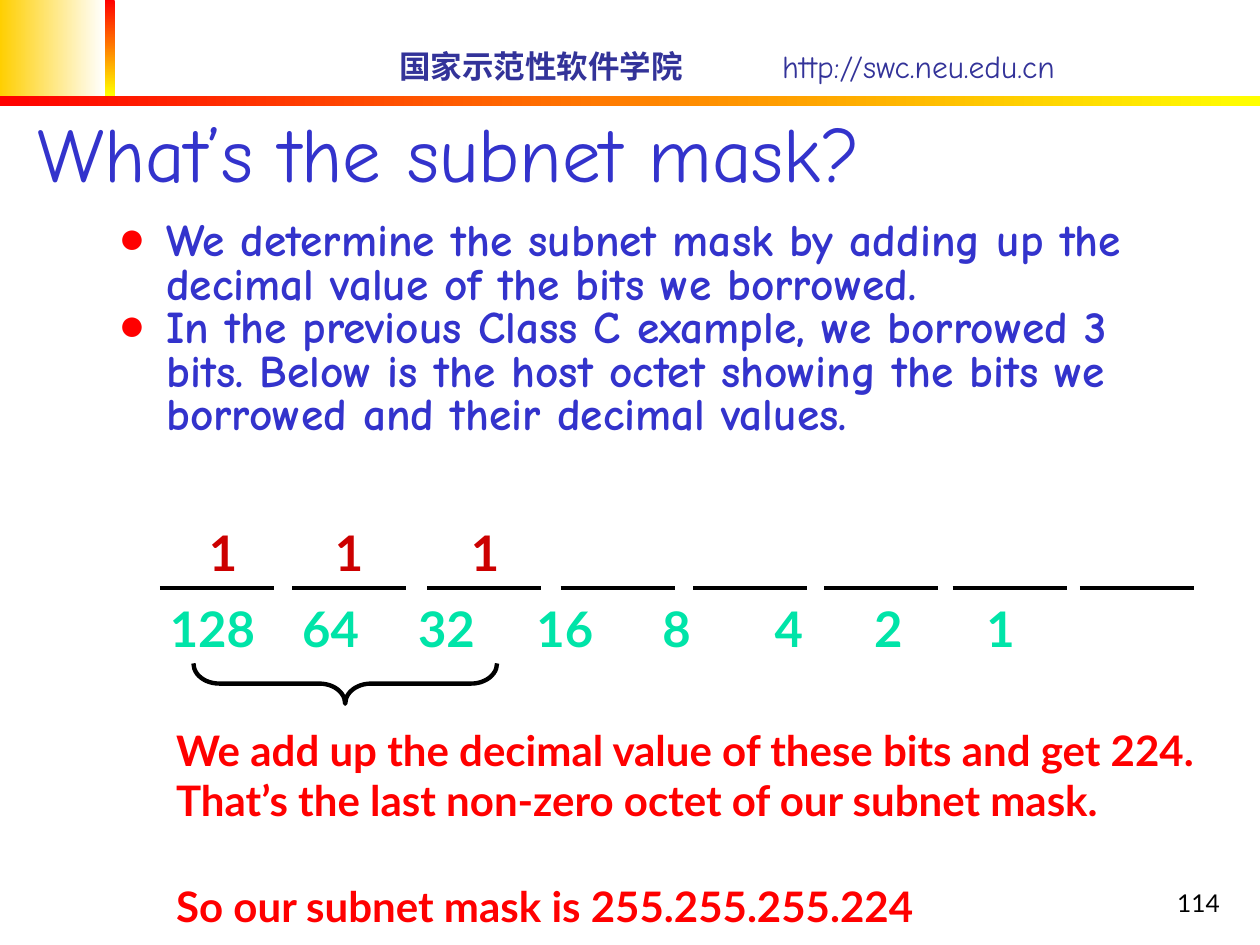
from typing import NamedTuple

from lxml.etree import SubElement
from pptx import Presentation
from pptx.dml.color import RGBColor
from pptx.enum.shapes import MSO_CONNECTOR, MSO_SHAPE
from pptx.enum.text import MSO_ANCHOR, MSO_AUTO_SIZE, PP_ALIGN
from pptx.oxml.ns import qn
from pptx.util import Inches, Pt

# Grid: 100 columns by 75 rows on a 10 by 7.5 inch slide
COLUMNS, ROWS = 100, 75
SLIDE_WIDTH, SLIDE_HEIGHT = Inches(10), Inches(7.5)

HAND_FONT, PLAIN_FONT = "Comic Neue", "Lato"
WHITE = RGBColor(0xFF, 0xFF, 0xFF)
BLACK = RGBColor(0x00, 0x00, 0x00)
GOLD = RGBColor(0xFF, 0xCF, 0x01)
YELLOW = RGBColor(0xFF, 0xFF, 0x00)
RED = RGBColor(0xFF, 0x00, 0x00)
DARK_RED = RGBColor(0xCC, 0x00, 0x00)
GREEN = RGBColor(0x00, 0xE4, 0xA8)
BLUE = RGBColor(0x33, 0x33, 0xCC)
NAVY = RGBColor(0x33, 0x33, 0x99)


class Box(NamedTuple):
    """A place on the grid, in columns and rows."""
    left: float
    top: float
    width: float
    height: float


class Band(NamedTuple):
    box: Box
    start: RGBColor
    end: RGBColor
    angle: int


class Bit(NamedTuple):
    """One place of the octet: its rule, its value and the value's tab stop."""
    rule_left: float
    value: str
    tab: float


BANDS = [
    Band(Box(0, 0, 8.3, 7.6), GOLD, WHITE, 0),
    Band(Box(8.3, 0, 0.8, 7.6), RED, YELLOW, 270),
    Band(Box(0, 7.6, 100, 0.8), RED, YELLOW, 0),
]
BITS = [
    Bit(12.7, "128", 0), Bit(23.2, "64", 10.5), Bit(33.9, "32", 19.7),
    Bit(44.5, "16", 29.1), Bit(55, "8", 39.1), Bit(65.4, "4", 48),
    Bit(75.6, "2", 55.9), Bit(85.7, "1", 64.8),
]
BORROWED_LEFTS = [14.7, 24.7, 35.5]
RULE_ROW, RULE_WIDTH = 46.7, 9.05
BULLETS = [
    "We determine the subnet mask by adding up the decimal value of the bits we borrowed.",
    "In the previous Class C example, we borrowed 3 bits. Below is the host octet "
    "showing the bits we borrowed and their decimal values.",
]
CONCLUSIONS = [
    (Box(13, 57, 84.3, 13), "We add up the decimal value of these bits and get 224. "
                            "That’s the last non-zero octet of our subnet mask."),
    (Box(13, 69.4, 84.3, 5), "So our subnet mask is 255.255.255.224"),
]


def across(columns: float) -> int:
    return round(SLIDE_WIDTH * columns / COLUMNS)


def down(rows: float) -> int:
    return round(SLIDE_HEIGHT * rows / ROWS)


def emu(box: Box) -> tuple:
    return across(box.left), down(box.top), across(box.width), down(box.height)


def place(shape, box: Box) -> None:
    shape.left, shape.top, shape.width, shape.height = emu(box)


def add_bullet(paragraph, indent: float) -> None:
    properties = paragraph._p.get_or_add_pPr()
    properties.set("marL", str(across(indent)))
    properties.set("indent", str(-across(indent)))
    color = SubElement(properties, qn("a:buClr"))
    SubElement(color, qn("a:srgbClr")).set("val", str(RED))
    SubElement(properties, qn("a:buFont")).set("typeface", "Arial")
    SubElement(properties, qn("a:buChar")).set("char", "●")


def add_tabs(paragraph, stops: list) -> None:
    tabs = SubElement(paragraph._p.get_or_add_pPr(), qn("a:tabLst"))
    for stop in stops:
        tab = SubElement(tabs, qn("a:tab"))
        tab.set("pos", str(across(stop)))
        tab.set("algn", "l")


def write(shape, paragraphs: list, *, size: float, color: RGBColor, font=PLAIN_FONT,
          bold=False, align=PP_ALIGN.LEFT, anchor=MSO_ANCHOR.TOP, spacing=1.0,
          bullet_indent=0.0, tabs=()) -> None:
    """Fill a shape with paragraphs, each formatted the same way."""
    frame = shape.text_frame
    frame.word_wrap = True
    frame.auto_size = MSO_AUTO_SIZE.NONE
    frame.vertical_anchor = anchor
    for index, text in enumerate(paragraphs):
        paragraph = frame.add_paragraph() if index else frame.paragraphs[0]
        if bullet_indent:
            add_bullet(paragraph, bullet_indent)
        if tabs:
            add_tabs(paragraph, tabs)
        paragraph.alignment = align
        paragraph.line_spacing = spacing
        paragraph.space_before = Pt(0)
        run = paragraph.add_run()
        run.text = text
        run.font.name, run.font.size = font, Pt(size)
        run.font.bold, run.font.color.rgb = bold, color


def add_text(slide, box: Box, text: str, **formatting) -> None:
    write(slide.shapes.add_textbox(*emu(box)), [text], **formatting)


def add_band(slide, band: Band) -> None:
    shape = slide.shapes.add_shape(MSO_SHAPE.RECTANGLE, *emu(band.box))
    shape.shadow.inherit = False
    shape.line.fill.background()
    shape.fill.gradient()
    shape.fill.gradient_angle = band.angle
    for stop, color in zip(shape.fill.gradient_stops, (band.start, band.end)):
        stop.color.rgb = color


def add_rule(slide, left: float) -> None:
    rule = slide.shapes.add_connector(
        MSO_CONNECTOR.STRAIGHT, across(left), down(RULE_ROW),
        across(left + RULE_WIDTH), down(RULE_ROW))
    rule.line.color.rgb, rule.line.width = BLACK, Pt(2.25)
    SubElement(rule._element.spPr, qn("a:effectLst"))


def add_brace(slide, box: Box) -> None:
    brace = slide.shapes.add_shape(MSO_SHAPE.LEFT_BRACE, *emu(box))
    brace.shadow.inherit = False
    brace.rotation = 270
    brace.adjustments[0], brace.adjustments[1] = 0.64, 0.5
    brace.fill.background()
    brace.line.color.rgb, brace.line.width = BLACK, Pt(2.5)


def main() -> None:
    presentation = Presentation()
    presentation.slide_width, presentation.slide_height = SLIDE_WIDTH, SLIDE_HEIGHT
    slide = presentation.slides.add_slide(presentation.slide_layouts[1])

    # Header bands, school name and address
    for band in BANDS:
        add_band(slide, band)
    header = {"size": 18, "color": NAVY, "font": HAND_FONT, "anchor": MSO_ANCHOR.MIDDLE}
    add_text(slide, Box(30.7, 3.2, 28, 4), "国家示范性软件学院", bold=True, **header)
    add_text(slide, Box(61.1, 3.2, 38.9, 4), "http://swc.neu.edu.cn", **header)

    # Title and list
    title, body = slide.shapes.title, slide.placeholders[1]
    place(title, Box(2, 3.6, 85.2, 12.6))
    write(title, ["What’s the subnet mask?"], size=44, color=BLUE, font=HAND_FONT,
          anchor=MSO_ANCHOR.BOTTOM)
    place(body, Box(8.4, 17.1, 85, 22.6))
    write(body, BULLETS, size=25.9, color=BLUE, font=HAND_FONT, bold=True,
          spacing=0.8, bullet_indent=3.8)

    # Host octet: rules, decimal values and borrowed bits
    add_text(slide, Box(12.5, 47, 85.6, 5.7), "\t".join(bit.value for bit in BITS),
             size=28, color=GREEN, bold=True, tabs=[bit.tab for bit in BITS[1:]])
    for bit in BITS:
        add_rule(slide, bit.rule_left)
    for left in BORROWED_LEFTS:
        add_text(slide, Box(left, 41, 6, 5.7), "1", size=28, color=DARK_RED,
                 bold=True, align=PP_ALIGN.CENTER)
    add_brace(slide, Box(25.8, 42.2, 3.2, 24.1))

    # Conclusions and slide number
    for box, text in CONCLUSIONS:
        add_text(slide, box, text, size=24, color=RED, bold=True)
    add_text(slide, Box(77, 68.3, 20.8, 5), "114", size=14, color=BLACK,
             align=PP_ALIGN.RIGHT, anchor=MSO_ANCHOR.BOTTOM)

    presentation.save("out.pptx")


if __name__ == "__main__":
    main()
